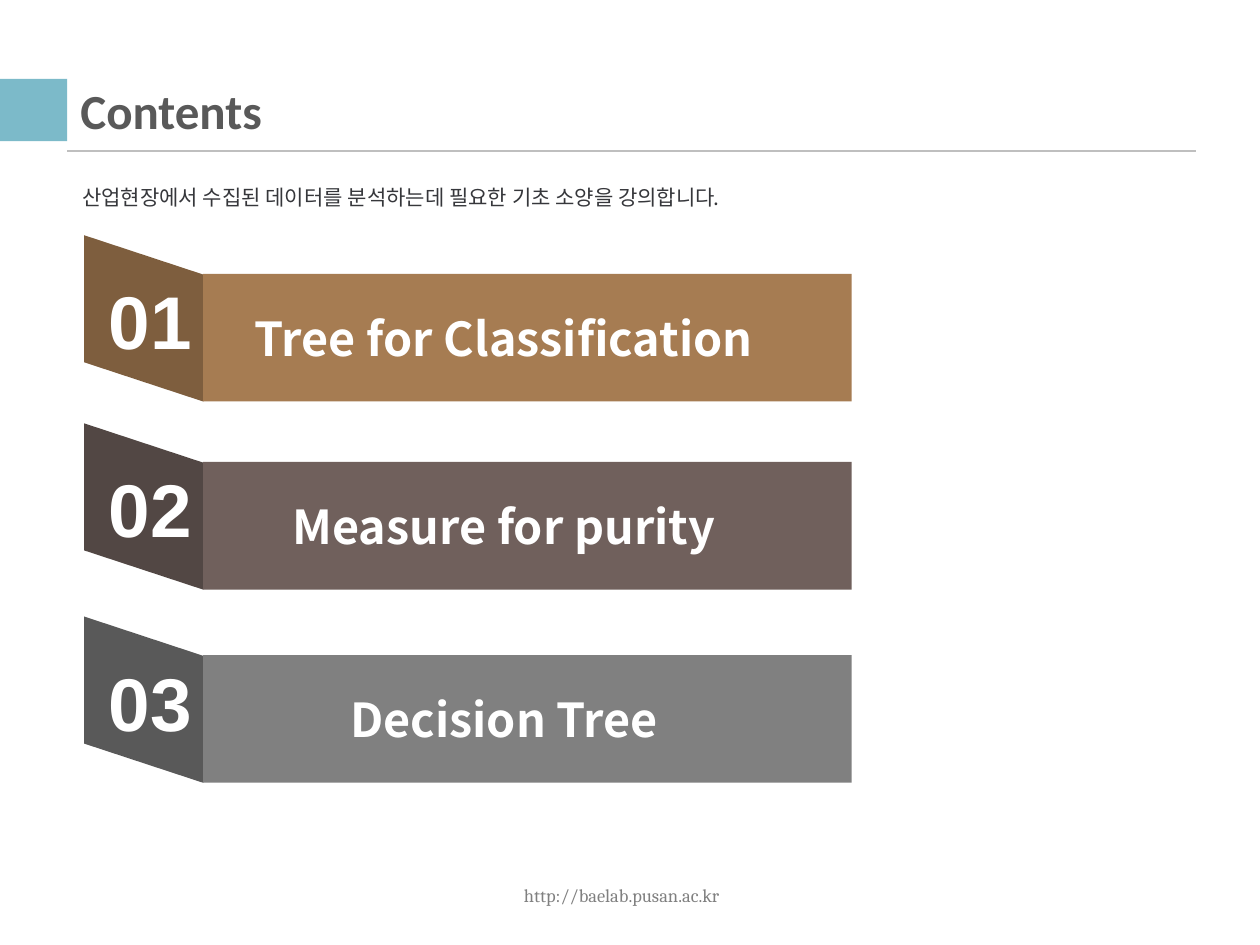
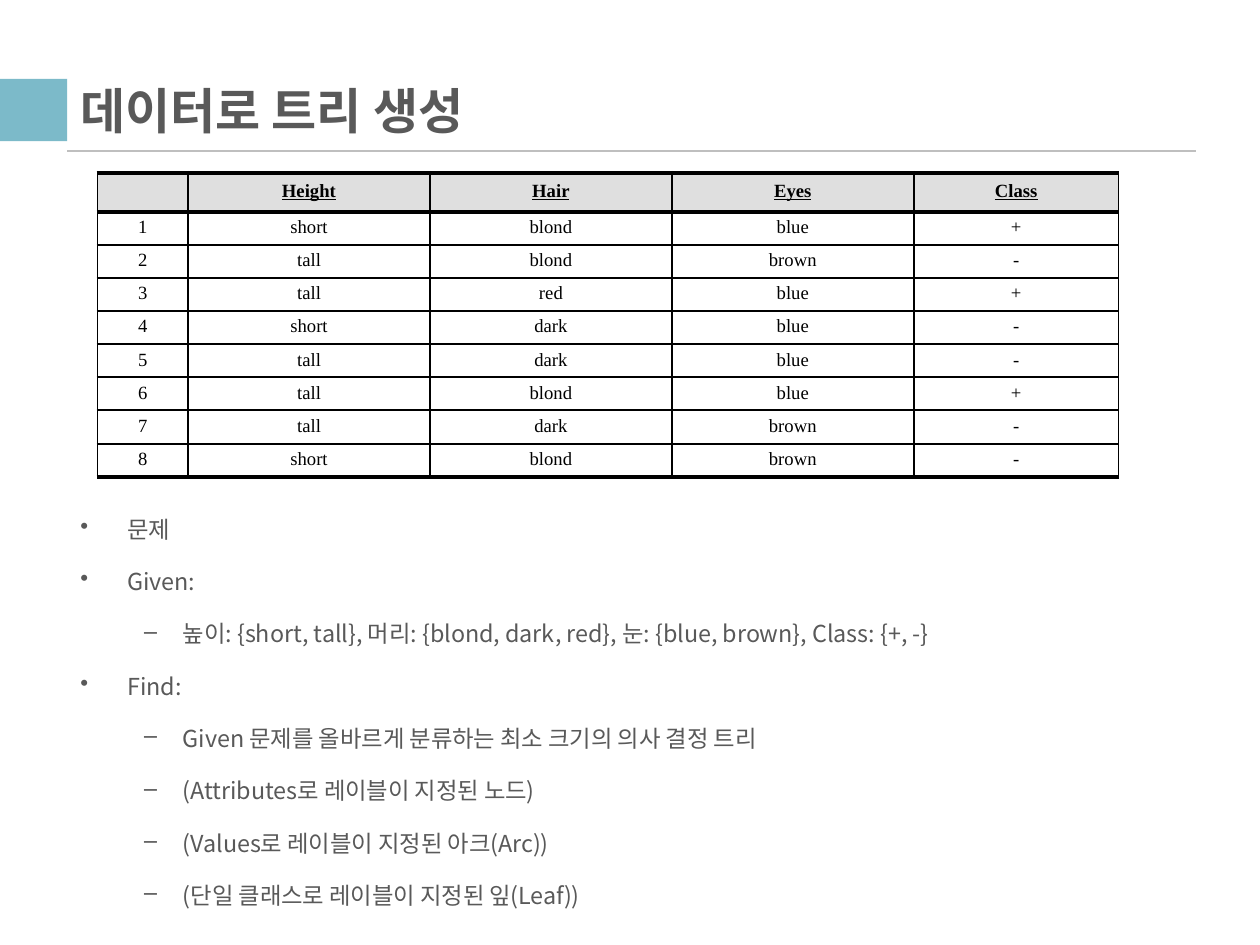
from pptx import Presentation
from pptx.dml.color import RGBColor as Rgb
from pptx.enum.shapes import MSO_CONNECTOR as Conn, MSO_SHAPE as Kind
from pptx.enum.text import MSO_ANCHOR as Anchor, PP_ALIGN as Align
from pptx.oxml.ns import qn
from pptx.util import Inches, Pt
from lxml.etree import SubElement as Sub

HUES = {
    "accent": "7CBAC9", "rule": "BFBFBF", "title": "595959", "foot": "808080",
    "lead": "36373B", "white": "FFFFFF", "black": "000000", "head": "DFDFDF",
    "tan": "A67C52", "tan fold": "7E5E3E", "plum": "70605C",
    "plum fold": "524744", "gray": "808080", "gray fold": "595959",
}
SANS = "Noto Sans CJK KR"
BULLETS = [("•", 0.28, 0.28), ("–", 0.61, 0.23)]  # mark, margin, hang
WIDE = 7.5


class Deck:
    def __init__(self):
        self.prs = Presentation()
        self.prs.slide_width = Inches(WIDE)
        self.prs.slide_height = Inches(WIDE * 3 / 4)
        self.slide = None

    def hue(self, name):
        return Rgb.from_string(HUES[name])

    def page(self, title):
        """Start a slide with the accent block, rule and title."""
        self.slide = self.prs.slides.add_slide(self.prs.slide_layouts[6])
        self.block((0, 0.47, 0.4, 0.37), "accent")
        self.line(0.4, 0.9, 7.12, 0.9)
        self.text(title, (0.38, 0.48, 6.75, 0.35), 21, "title", "Calibri",
                  bold=True, anchor=Anchor.MIDDLE)

    def foot(self, text):
        self.text(text, (2.51, 5.18, 2.38, 0.3), 7.9, "foot", "Cambria",
                  align=Align.CENTER, anchor=Anchor.MIDDLE)

    def block(self, box, hue, kind=Kind.RECTANGLE):
        shape = self.slide.shapes.add_shape(kind, *map(Inches, box))
        shape.shadow.inherit = False
        shape.fill.solid()
        shape.fill.fore_color.rgb = self.hue(hue)
        shape.line.fill.background()
        return shape

    def line(self, *ends):
        line = self.slide.shapes.add_connector(
            Conn.STRAIGHT, *map(Inches, ends))
        line.line.color.rgb = self.hue("rule")
        line.line.width = Pt(1)
        Sub(line._element.spPr, qn("a:effectLst"))

    def style(self, para, size, hue, face, bold=False):
        font = para.font
        font.size, font.name, font.bold = Pt(size), face, bold
        font.color.rgb = self.hue(hue)
        Sub(font._element, qn("a:ea"), typeface=SANS)

    def frame(self, box, anchor=Anchor.TOP):
        frame = self.slide.shapes.add_textbox(*map(Inches, box)).text_frame
        frame.word_wrap = True
        frame.vertical_anchor = anchor
        return frame

    def text(self, text, box, size, hue, face=SANS, bold=False,
             align=Align.LEFT, anchor=Anchor.TOP):
        para = self.frame(box, anchor).paragraphs[0]
        para.text, para.alignment = text, align
        self.style(para, size, hue, face, bold)

    def banner(self, top, num, label, hue):
        """Draw a folded band with its number and label."""
        fold = self.block((0.36, top, 0.99, 0.71), hue + " fold",
                          Kind.PARALLELOGRAM)
        fold.rotation = 270
        fold.adjustments[0] = 0.33
        self.block((1.21, top + 0.09, 3.86, 0.76), hue)
        self.text(label, (1.07, top + 0.25, 3.86, 0.44), 20, "white",
                  bold=True, align=Align.CENTER, anchor=Anchor.MIDDLE)
        self.text(f"{num:02}", (0.55, top + 0.04, 0.94, 0.64), 32, "white",
                  "Arial", bold=True, anchor=Anchor.BOTTOM)

    def bullets(self, items, box):
        frame = self.frame(box)
        for i, (level, text) in enumerate(items):
            para = frame.add_paragraph() if i else frame.paragraphs[0]
            para.text, para.level, para.line_spacing = text, level, 1.7
            if i:
                para.space_before = Pt(2)
            mark, left, hang = BULLETS[level]
            props = para._p.get_or_add_pPr()
            props.set("marL", str(Inches(left)))
            props.set("indent", str(-Inches(hang)))
            Sub(props, qn("a:buChar"), char=mark)
            self.style(para, 10, "title", SANS)

    def edges(self, cell, top, bottom):
        props = cell._tc.get_or_add_tcPr()
        sides = {"lnL": 0.75, "lnR": 0.75, "lnT": top, "lnB": bottom}
        for i, (side, width) in enumerate(sides.items()):
            line = props.makeelement(qn("a:" + side), {"w": str(Pt(width))})
            props.insert(i, line)
            fill = Sub(line, qn("a:solidFill"))
            Sub(fill, qn("a:srgbClr"), val=HUES["black"])

    def table(self, rows, box, cols, head):
        grid = self.slide.shapes.add_table(
            len(rows), len(cols), *map(Inches, box)).table
        grid.first_row = grid.horz_banding = False
        for col, width in zip(grid.columns, cols):
            col.width = Inches(width)
        last = len(rows) - 1
        for r, row in enumerate(rows):
            grid.rows[r].height = Inches(
                (box[3] - head) / last if r else head)
            for c, text in enumerate(row):
                cell = grid.cell(r, c)
                cell.vertical_anchor = Anchor.MIDDLE
                cell.margin_top = cell.margin_bottom = Inches(0.04)
                cell.fill.solid()
                cell.fill.fore_color.rgb = self.hue("white" if r else "head")
                self.edges(cell, 2 if r < 2 else 1, 2 if r in (0, last) else 1)
                para = cell.text_frame.paragraphs[0]
                para.text, para.alignment = text, Align.CENTER
                para.line_spacing = 0.85
                self.style(para, 8, "black", "Times New Roman", r == 0)
                para.font.underline = r == 0


def main():
    deck = Deck()

    # Contents
    deck.page("Contents")
    deck.foot("http://baelab.pusan.ac.kr")
    deck.text("산업현장에서 수집된 데이터를 분석하는데 필요한 기초 소양을 강의합니다.",
              (0.39, 1.05, 4.46, 0.26), 9, "lead")
    parts = [(1.54, "Tree for Classification", "tan"),
             (2.66, "Measure for purity", "plum"),
             (3.81, "Decision Tree", "gray")]
    for num, (top, label, hue) in enumerate(parts, 1):
        deck.banner(top, num, label, hue)

    # Sample data and the task
    deck.page("데이터로 트리 생성")
    data = ["short blond blue +", "tall blond brown -", "tall red blue +",
            "short dark blue -", "tall dark blue -", "tall blond blue +",
            "tall dark brown -", "short blond brown -"]
    rows = [["", "Height", "Hair", "Eyes", "Class"]]
    rows += [[str(n), *line.split()] for n, line in enumerate(data, 1)]
    deck.table(rows, (0.58, 1.03, 6.08, 1.81),
               [0.54, 1.44, 1.44, 1.44, 1.22], head=0.23)
    deck.bullets([
        (0, "문제"),
        (0, "Given:"),
        (1, "높이: {short, tall}, 머리: {blond, dark, red}, "
            "눈: {blue, brown}, Class: {+, -}"),
        (0, "Find:"),
        (1, "Given 문제를 올바르게 분류하는 최소 크기의 의사 결정 트리"),
        (1, "(Attributes로 레이블이 지정된 노드)"),
        (1, "(Values로 레이블이 지정된 아크(Arc))"),
        (1, "(단일 클래스로 레이블이 지정된 잎(Leaf))"),
    ], (0.38, 2.9, 6.75, 2.56))

    deck.prs.save("out.pptx")


if __name__ == "__main__":
    main()
